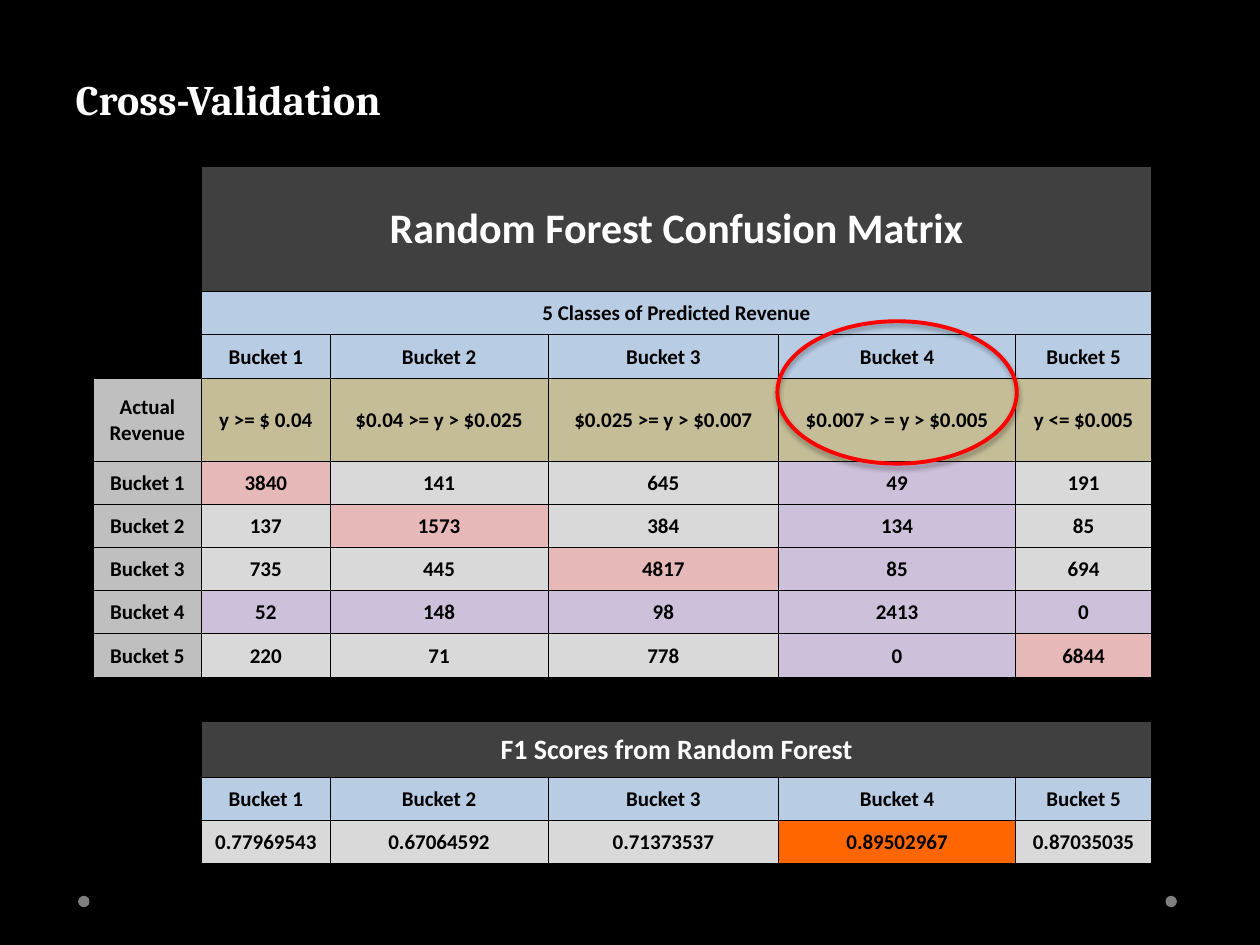
import dataclasses

import lxml.etree
import pptx
import pptx.dml.color
import pptx.enum.shapes
import pptx.enum.text
import pptx.oxml
import pptx.oxml.ns
import pptx.util

SHAPES = pptx.enum.shapes.MSO_SHAPE
ALIGN = pptx.enum.text.PP_ALIGN
ANCHOR = pptx.enum.text.MSO_ANCHOR
Inches = pptx.util.Inches
Pt = pptx.util.Pt


@dataclasses.dataclass(frozen=True)
class Theme:
    """Colours, fonts and sizes used on the slide."""
    background: str = "000000"
    light: str = "FFFFFF"
    dark: str = "000000"
    banner: str = "404040"
    header: str = "B8CCE4"
    bounds: str = "C4BD97"
    side: str = "BFBFBF"
    plain: str = "D9D9D9"
    diagonal: str = "E6B8B7"
    focus: str = "CCC0DA"
    best: str = "FF6600"
    ring: str = "FF0000"
    dot: str = "808080"
    title_font: str = "Cambria"
    body_font: str = "Calibri"
    title_size: int = 24
    score_size: int = 16
    body_size: int = 12
    thick: float = 1
    thin: float = 0.5


THEME = Theme()
BUCKETS = [f"Bucket {number}" for number in range(1, 6)]
BOUNDS = ["y >= $ 0.04", "$0.04 >= y > $0.025", "$0.025 >= y > $0.007",
          "$0.007 > = y > $0.005", "y <= $0.005"]
COUNTS = [[3840, 141, 645, 49, 191],
          [137, 1573, 384, 134, 85],
          [735, 445, 4817, 85, 694],
          [52, 148, 98, 2413, 0],
          [220, 71, 778, 0, 6844]]
F1_SCORES = ["0.77969543", "0.67064592", "0.71373537", "0.89502967", "0.87035035"]
FOCUS_BUCKET = 3
COLUMN_WIDTHS = [0.86, 1.02, 1.73, 1.83, 1.88, 1.08]
ROW_HEIGHTS = [0.99, 0.34, 0.35, 0.66, 0.34, 0.34, 0.34, 0.34, 0.35, 0.35, 0.44, 0.34, 0.35]
THICK_COLUMNS = {0, 1, 6}
THICK_ROWS = {0, 3, 9, 10, 13}


def rgb(value):
    """Return a colour object for a hex value."""
    return pptx.dml.color.RGBColor.from_string(value)


def apply(target, values):
    """Set each named value on the target."""
    for name, value in values.items():
        setattr(target, name, value)


def format_font(font, family, size, colour):
    """Format bold text in one family, size and colour."""
    apply(font, {"name": family, "size": Pt(size), "bold": True})
    font.color.rgb = rgb(colour)


def place_title(slide, box, text):
    """Place the slide title in its box."""
    title = slide.shapes.title
    apply(title, dict(zip(("left", "top", "width", "height"), box)))
    frame = title.text_frame
    frame.text = text
    apply(frame, {"vertical_anchor": ANCHOR.BOTTOM, "word_wrap": True,
                  "auto_size": pptx.enum.text.MSO_AUTO_SIZE.NONE})
    heading = frame.paragraphs[0]
    apply(heading, {"alignment": ALIGN.LEFT, "line_spacing": Pt(58)})
    format_font(heading.runs[0].font, THEME.title_font, THEME.title_size, THEME.light)


def place_dots(slide, box):
    """Place one grey dot at each end of the footer box."""
    left, top, width, size = box
    for dot_left in (left, left + width - size):
        dot = slide.shapes.add_shape(SHAPES.OVAL, dot_left, top, size, size)
        dot.shadow.inherit = False
        dot.fill.solid()
        dot.fill.fore_color.rgb = rgb(THEME.dot)
        dot.line.fill.background()


def draw_borders(cell, row, column):
    """Draw borders, thick along the outline of each block."""
    right = column + (cell.span_width if cell.is_merge_origin else 1)
    edges = {"lnL": column in THICK_COLUMNS, "lnR": right in THICK_COLUMNS,
             "lnT": row in THICK_ROWS, "lnB": row + 1 in THICK_ROWS}
    properties = cell._tc.get_or_add_tcPr()
    for tag, is_thick in edges.items():
        width = Pt(THEME.thick if is_thick else THEME.thin)
        edge = lxml.etree.SubElement(properties, pptx.oxml.ns.qn(f"a:{tag}"), w=str(int(width)))
        paint = lxml.etree.SubElement(edge, pptx.oxml.ns.qn("a:solidFill"))
        lxml.etree.SubElement(paint, pptx.oxml.ns.qn("a:srgbClr"), val=THEME.dark)


def write_cell(cell, text, fill, size=THEME.body_size, colour=THEME.dark):
    """Fill a cell and write its centred text."""
    cell.fill.solid()
    cell.fill.fore_color.rgb = rgb(fill)
    cell.text = str(text)
    label = cell.text_frame.paragraphs[0]
    label.alignment = ALIGN.CENTER
    format_font(label.runs[0].font, THEME.body_font, size, colour)


def count_fill(actual, predicted):
    """Return the fill for a count in the confusion matrix."""
    if FOCUS_BUCKET in (actual, predicted):
        return THEME.focus
    return THEME.diagonal if actual == predicted else THEME.plain


def place_results(slide, box):
    """Place the confusion matrix and the F1 scores in one table."""
    left, top, width, height = box
    results = slide.shapes.add_table(len(ROW_HEIGHTS), len(COLUMN_WIDTHS), *box).table
    apply(results, {"first_row": False, "horz_banding": False})
    for column, share in zip(results.columns, COLUMN_WIDTHS):
        column.width = int(width * share / sum(COLUMN_WIDTHS))
    for row, share in zip(results.rows, ROW_HEIGHTS):
        row.height = int(height * share / sum(ROW_HEIGHTS))

    banners = {0: ("Random Forest Confusion Matrix", THEME.banner, THEME.title_size, THEME.light),
               1: ("5 Classes of Predicted Revenue", THEME.header),
               10: ("F1 Scores from Random Forest", THEME.banner, THEME.score_size, THEME.light)}
    for row in banners:
        results.cell(row, 1).merge(results.cell(row, len(BUCKETS)))

    cell_format = {"margin_left": Inches(0.01), "margin_right": Inches(0.01),
                   "margin_top": Inches(0.01), "margin_bottom": 0,
                   "vertical_anchor": ANCHOR.MIDDLE}
    for row in range(len(ROW_HEIGHTS)):
        for column in range(len(COLUMN_WIDTHS)):
            cell = results.cell(row, column)
            apply(cell, cell_format)
            draw_borders(cell, row, column)
            cell.fill.background()

    for row, banner in banners.items():
        write_cell(results.cell(row, 1), *banner)
    for row, label in enumerate(["Actual Revenue"] + BUCKETS, start=3):
        write_cell(results.cell(row, 0), label, THEME.side)
    for index, bucket in enumerate(BUCKETS):
        column = index + 1
        write_cell(results.cell(2, column), bucket, THEME.header)
        write_cell(results.cell(3, column), BOUNDS[index], THEME.bounds)
        for actual, counts in enumerate(COUNTS):
            write_cell(results.cell(4 + actual, column), counts[index], count_fill(actual, index))
        write_cell(results.cell(11, column), bucket, THEME.header)
        score_fill = THEME.best if index == FOCUS_BUCKET else THEME.plain
        write_cell(results.cell(12, column), F1_SCORES[index], score_fill)


def place_ring(slide, box):
    """Place the red ring with its soft shadow."""
    ring = slide.shapes.add_shape(SHAPES.FLOWCHART_CONNECTOR, *box)
    ring.shadow.inherit = False
    ring.fill.background()
    ring.line.color.rgb = rgb(THEME.ring)
    ring.line.width = Pt(2.25)
    effects = ring._element.spPr.find(pptx.oxml.ns.qn("a:effectLst"))
    effects.append(pptx.oxml.parse_xml(
        f'<a:outerShdw {pptx.oxml.ns.nsdecls("a")} blurRad="{int(Pt(3.1))}" '
        f'dist="{int(Pt(1.8))}" dir="5400000" rotWithShape="0">'
        f'<a:srgbClr val="{THEME.dark}"><a:alpha val="35000"/></a:srgbClr></a:outerShdw>'))


def main():
    """Build the cross-validation slide and save it."""
    deck = pptx.Presentation()
    apply(deck, {"slide_width": Inches(10), "slide_height": Inches(7.5)})
    slide = deck.slides.add_slide(deck.slide_layouts[5])
    slide.background.fill.solid()
    slide.background.fill.fore_color.rgb = rgb(THEME.background)
    place_title(slide, (Inches(0.5), Inches(-0.72), Inches(9), Inches(1.75)), "Cross-Validation")
    place_dots(slide, (Inches(0.62), Inches(7.11), Inches(8.72), Inches(0.09)))
    place_results(slide, (Inches(0.74), Inches(1.32), Inches(8.4), Inches(5.54)))
    place_ring(slide, (Inches(6.17), Inches(2.55), Inches(1.9), Inches(1.13)))
    deck.save("out.pptx")


if __name__ == "__main__":
    main()
